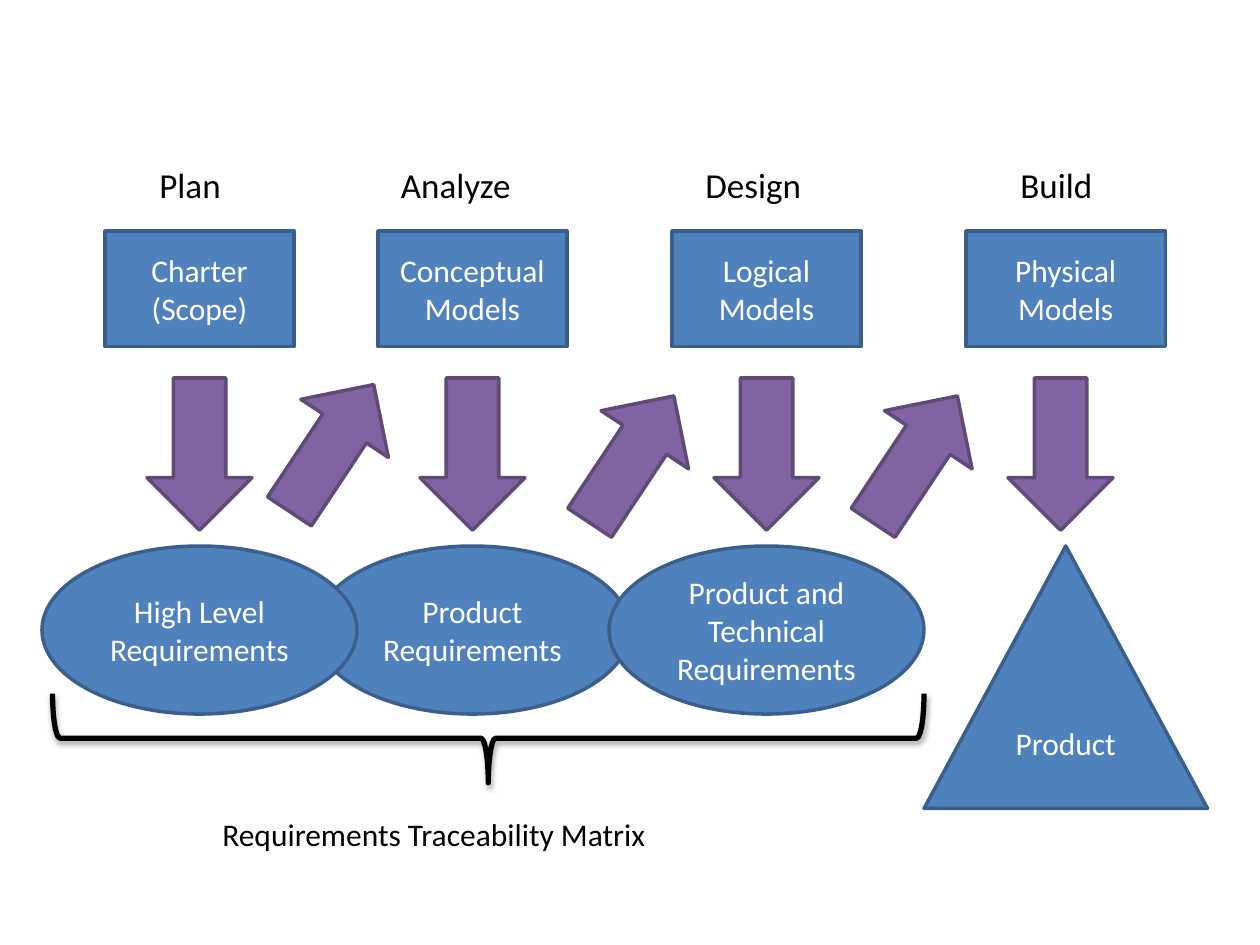
from dataclasses import dataclass

from lxml import etree
from pptx import Presentation
from pptx.dml.color import RGBColor
from pptx.enum import shapes, text
from pptx.oxml import ns
from pptx.util import Pt


@dataclass(frozen=True)
class Theme:
    font: str = "Calibri"
    heading: int = 20
    body: int = 18
    blue: str = "4F81BD"
    blue_line: str = "3A5F8C"
    purple: str = "8064A2"
    purple_line: str = "5F4A78"
    black: str = "000000"
    white: str = "FFFFFF"


theme = Theme()
MSO = shapes.MSO_SHAPE

prs = Presentation()
prs.slide_width, prs.slide_height = Pt(720), Pt(540)
s = prs.slides.add_slide(prs.slide_layouts[6])


def add_shape(kind, box, fill, line, label="", rotation=0):
    sp = s.shapes.add_shape(kind, *map(Pt, box))
    sp.shadow.inherit = False
    sp.rotation = rotation
    sp.fill.solid()
    sp.fill.fore_color.rgb = RGBColor.from_string(fill)
    sp.line.color.rgb = RGBColor.from_string(line)
    sp.line.width = Pt(2)
    if label:
        tf = sp.text_frame
        tf.word_wrap = True
        tf.vertical_anchor = text.MSO_ANCHOR.MIDDLE
        p = tf.paragraphs[0]
        p.text = label
        p.alignment = text.PP_ALIGN.CENTER
        p.font.name, p.font.size = theme.font, Pt(theme.body)
        p.font.color.rgb = RGBColor.from_string(theme.white)
    return sp


def add_label(label, box, size):
    tf = s.shapes.add_textbox(*map(Pt, box)).text_frame
    tf.word_wrap = True
    tf.auto_size = text.MSO_AUTO_SIZE.SHAPE_TO_FIT_TEXT
    p = tf.paragraphs[0]
    p.text = label
    p.font.name, p.font.size = theme.font, Pt(size)
    p.font.color.rgb = RGBColor.from_string(theme.black)


blue = theme.blue, theme.blue_line
purple = theme.purple, theme.purple_line
arrow_w, arrow_h = 87, 60

phases = [
    ("Plan", 84, 68.4, "Charter (Scope)", 114, 108),
    ("Analyze", 222, 96, "Conceptual Models", 270, 108),
    ("Design", 396, 109.4, "Logical Models", 438, 108),
    ("Build", 576, 109.4, "Physical Models", 606, 114),
]
for phase, label_x, label_w, model, center, model_w in phases:
    add_label(phase, (label_x, 90, label_w, 31.5), theme.heading)
    add_shape(MSO.RECTANGLE, (center - 54, 132, model_w, 66), *blue, model)
    add_shape(MSO.RIGHT_ARROW, (center - arrow_w / 2, 229.5, arrow_w, arrow_h),
              *purple, rotation=90)

for x, y in [(146, 226), (317.5, 232.5), (479.5, 232.5)]:
    add_shape(MSO.RIGHT_ARROW, (x, y, arrow_w, arrow_h), *purple, rotation=303.6)

requirements = [
    ("Product Requirements", 270),
    ("Product and Technical Requirements", 438),
    ("High Level Requirements", 114),
]
for label, center in requirements:
    add_shape(MSO.OVAL, (center - 90, 312, 180, 96), *blue, label)
add_shape(MSO.ISOSCELES_TRIANGLE, (528, 312, 162, 150), *blue, "Product")

brace = add_shape(MSO.RIGHT_BRACE, (253.5, 172.8, 51, 498), theme.white, theme.black, rotation=90)
brace.fill.background()
brace.line.width = Pt(3)
effects = brace._element.spPr.find(ns.qn("a:effectLst"))
shadow = etree.SubElement(effects, ns.qn("a:outerShdw"), blurRad=str(Pt(3.1)),
                          dist=str(Pt(1.8)), dir="5400000", rotWithShape="0")
color = etree.SubElement(shadow, ns.qn("a:srgbClr"), val=theme.black)
etree.SubElement(color, ns.qn("a:alpha"), val="35000")

add_label("Requirements Traceability Matrix", (120, 462, 318, 29), theme.body)

prs.save("out.pptx")
